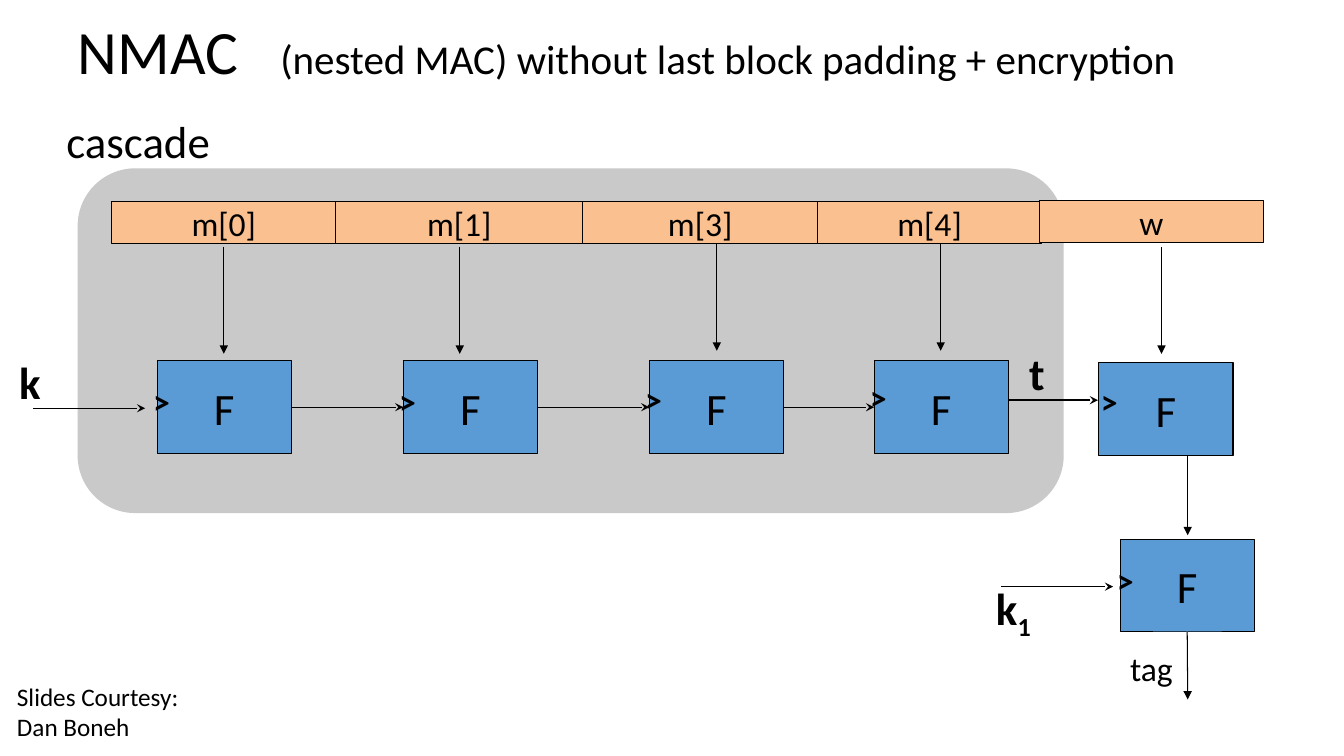
from dataclasses import dataclass

from lxml import etree
from pptx import Presentation
from pptx import util as u
from pptx.dml.color import RGBColor
from pptx.enum import shapes, text
from pptx.oxml import ns


@dataclass(frozen=True)
class Theme:
    font: str = "Calibri"
    ink: str = "000000"
    panel: str = "C9C9C9"
    message: str = "FAC090"
    function: str = "5B9BD5"
    title: float = 44
    subtitle: float = 29.3
    large: float = 32
    medium: float = 24
    small: float = 18
    thin: float = 0.75
    flow: float = 1


T = Theme()
F_W, F_H = 1.33, 0.92
MESSAGE_H = 0.42


def add_run(p, words, size, bold=False):
    r = p.add_run()
    r.text = words
    r.font.name, r.font.size, r.font.bold = T.font, u.Pt(size), bold
    r.font.color.rgb = RGBColor.from_string(T.ink)
    return r


def add_label(s, x, y, w, h, words, size, bold=False):
    tf = s.shapes.add_textbox(*map(u.Inches, (x, y, w, h))).text_frame
    tf.word_wrap = False
    add_run(tf.paragraphs[0], words, size, bold)
    return tf


def add_block(s, x, y, w, h, fill, words="", size=T.large, kind="RECTANGLE"):
    sp = s.shapes.add_shape(shapes.MSO_SHAPE[kind], *map(u.Inches, (x, y, w, h)))
    sp.shadow.inherit = False
    sp.fill.solid()
    sp.fill.fore_color.rgb = RGBColor.from_string(fill)
    if not words:
        sp.line.fill.background()
        return sp
    sp.line.color.rgb = RGBColor.from_string(T.ink)
    sp.line.width = u.Pt(T.thin)
    tf = sp.text_frame
    tf.vertical_anchor = text.MSO_ANCHOR.MIDDLE
    p = tf.paragraphs[0]
    p.alignment = text.PP_ALIGN.CENTER
    add_run(p, words, size)
    return sp


def add_arrow(s, x1, y1, x2, y2, width, head):
    line = s.shapes.add_connector(
        shapes.MSO_CONNECTOR.STRAIGHT, *map(u.Inches, (x1, y1, x2, y2)))
    line.line.color.rgb = RGBColor.from_string(T.ink)
    line.line.width = u.Pt(width)
    etree.SubElement(line.line._get_or_add_ln(), ns.qn("a:tailEnd"), type=head)
    etree.SubElement(line._element.spPr, ns.qn("a:effectLst"))
    return line


def add_down(s, x, y, length):
    return add_arrow(s, x, y, x, y + length, T.thin, "triangle")


def add_flow(s, x, y, length):
    return add_arrow(s, x, y, x + length, y, T.flow, "stealth")


def add_key_mark(s, x, y):
    add_label(s, x, y, 0.37, 0.5, ">", T.medium, True)


def add_function(s, x, y):
    return add_block(s, x, y, F_W, F_H, T.function, "F")


def add_title(s, x, y, w, h):
    title = s.shapes.title
    title.left, title.top, title.width, title.height = map(u.Inches, (x, y, w, h))
    tf = title.text_frame
    tf.word_wrap = True
    tf.auto_size = text.MSO_AUTO_SIZE.NONE
    tf.vertical_anchor = text.MSO_ANCHOR.MIDDLE
    p = tf.paragraphs[0]
    p.alignment = text.PP_ALIGN.LEFT
    p.line_spacing = 0.9
    tabs = etree.SubElement(p._p.get_or_add_pPr(), ns.qn("a:tabLst"))
    etree.SubElement(tabs, ns.qn("a:tab"), pos=str(u.Inches(2.01)), algn="l")
    add_run(p, "NMAC\t", T.title)
    add_run(p, "(nested MAC) without last block padding + encryption", T.subtitle)


def add_cascade(s, x, y, w, h):
    panel = add_block(s, x, y, w, h, T.panel, kind="ROUNDED_RECTANGLE")
    panel.adjustments[0] = 0.167
    add_label(s, x - 0.21, y - 0.59, 1.64, 0.64, "cascade", T.large)

    message_x = x + 0.34
    for words, width in (("m[0]", 2.22), ("m[1]", 2.45), ("m[3]", 2.33), ("m[4]", 2.22)):
        add_block(s, message_x, y + 0.33, width, MESSAGE_H, T.message, words, T.medium)
        message_x += width

    previous = None
    stages = ((0.79, 1.45, 0.78, 2.06), (3.23, 3.79, 0.78, 2.06),
              (5.67, 6.34, 0.75, 2.04), (7.9, 8.56, 0.75, 2.02))
    for f_x, arrow_x, arrow_y, mark_y in stages:
        stage = add_function(s, x + f_x, y + 1.91)
        add_down(s, x + arrow_x, y + arrow_y, 1.06)
        if previous:
            link = add_flow(s, x, y, 1)
            link.begin_connect(previous, 3)
            link.end_connect(stage, 1)
        add_key_mark(s, x + f_x - 0.14, y + mark_y)
        previous = stage

    add_flow(s, x - 0.44, y + 2.38, 1.11)
    add_label(s, x - 0.68, y + 1.8, 0.42, 0.64, "k", T.large, True)
    add_flow(s, x + w - 0.55, y + 2.3, 0.89)
    add_label(s, x + w - 0.44, y + 1.71, 0.36, 0.64, "t", T.large, True)


def add_outer_stage(s, x, y):
    add_block(s, x, y, 2.22, MESSAGE_H, T.message, "w", T.medium)
    add_down(s, x + 1.21, y + 0.46, 1.06)
    add_function(s, x + 0.59, y + 1.61)
    add_key_mark(s, x + 0.51, y + 1.74)

    last = add_function(s, x + 0.8, y + 3.36)
    add_down(s, x + 1.47, y + 2.53, 0.79)
    add_key_mark(s, x + 0.67, y + 3.52)
    add_flow(s, x - 0.38, y + 3.83, 1.11)
    tf = add_label(s, x - 0.53, y + 3.72, 0.57, 0.64, "k", T.large, True)
    index = add_run(tf.paragraphs[0], "1", T.large, True)
    index.font._element.set("baseline", "-25000")

    add_down(s, x + 1.47, y + 4.28, 0.67).begin_connect(last, 2)
    add_label(s, x + 0.8, y + 4.39, 0.63, 0.5, "tag", T.medium)


def add_credit(s, x, y, w, h):
    tf = add_label(s, x, y, w, h, "Slides Courtesy:", T.small)
    tf.word_wrap = True
    add_run(tf.add_paragraph(), "Dan Boneh", T.small)


def main():
    prs = Presentation()
    prs.slide_width, prs.slide_height = u.Inches(13.33), u.Inches(7.5)
    s = prs.slides.add_slide(prs.slide_layouts.get_by_name("Title Only"))
    add_title(s, 0.67, 0.08, 12, 0.92)
    add_cascade(s, 0.77, 1.67, 9.78, 3.42)
    add_outer_stage(s, 10.31, 1.99)
    add_credit(s, 0.07, 6.71, 5.7, 0.71)
    prs.save("out.pptx")


if __name__ == "__main__":
    main()
